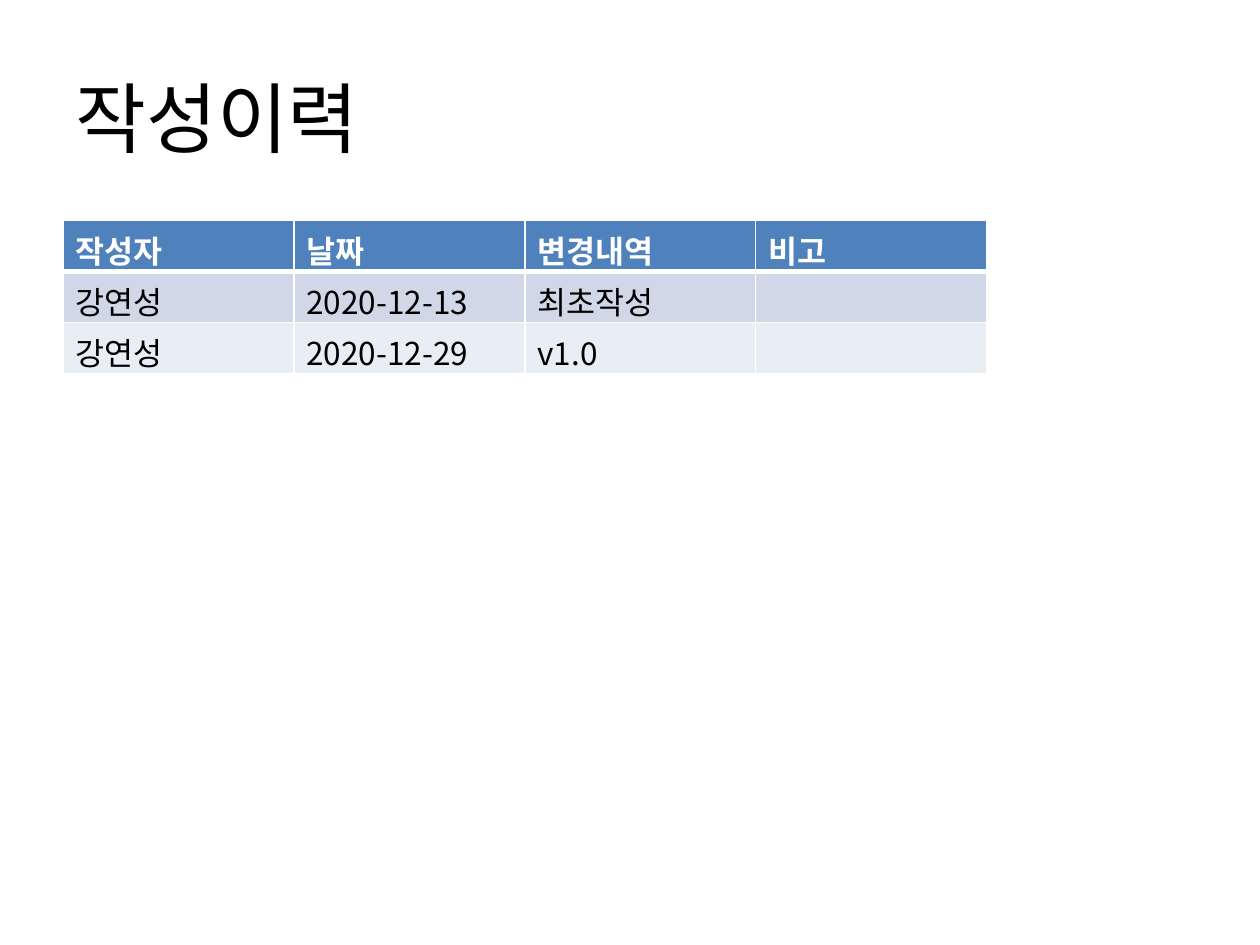
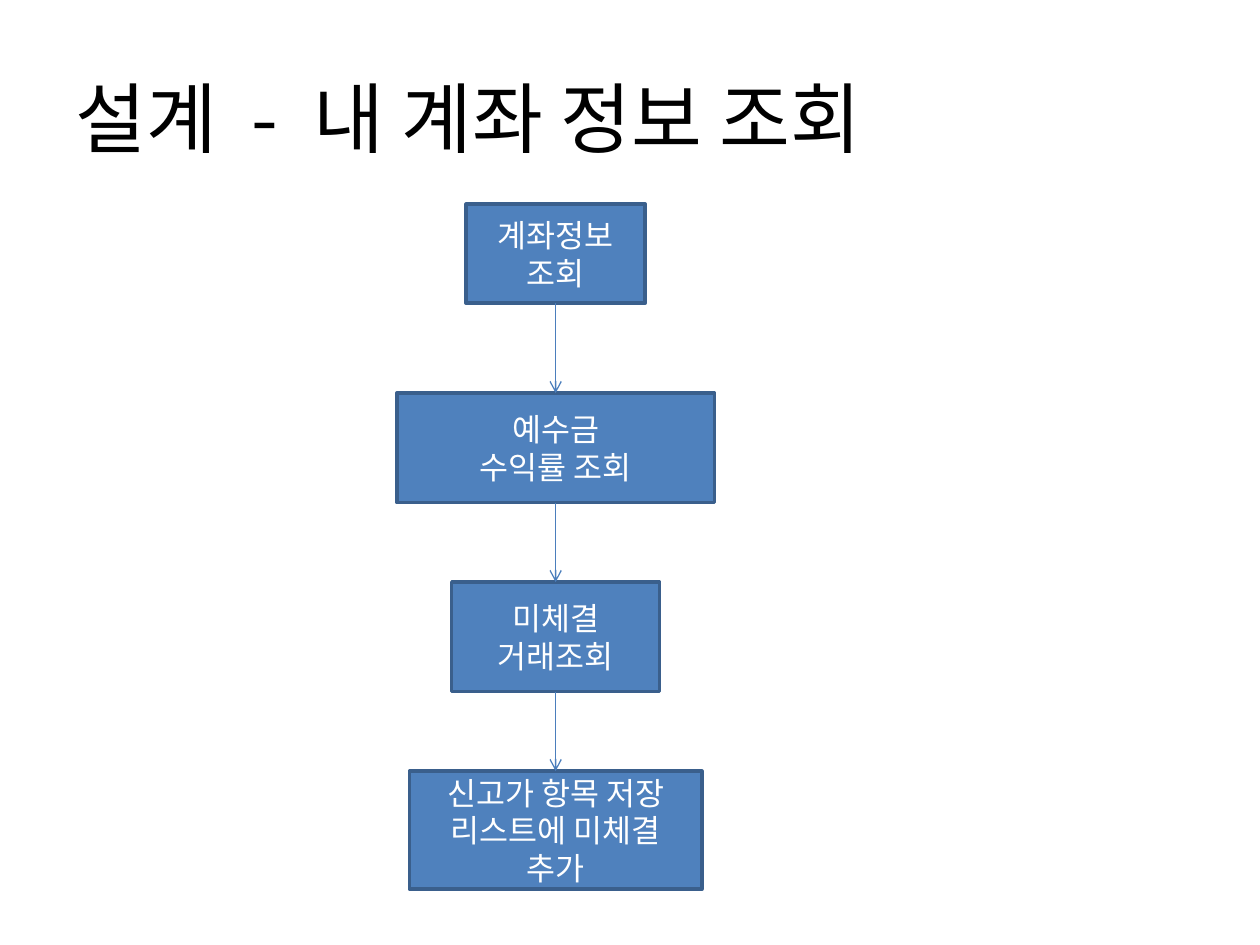
from dataclasses import dataclass

from lxml import etree
from pptx import Presentation
from pptx.dml.color import RGBColor
from pptx.enum.shapes import MSO_CONNECTOR, MSO_SHAPE
from pptx.enum.text import MSO_ANCHOR, PP_ALIGN
from pptx.oxml.ns import qn
from pptx.presentation import Presentation as Deck
from pptx.shapes.autoshape import Shape
from pptx.slide import Slide
from pptx.table import _Cell
from pptx.text.text import _Paragraph
from pptx.util import Emu, Inches, Pt

RECTANGLE = MSO_SHAPE.RECTANGLE
PROCESS = MSO_SHAPE.FLOWCHART_PROCESS
STRAIGHT = MSO_CONNECTOR.STRAIGHT
LEFT, CENTER = PP_ALIGN.LEFT, PP_ALIGN.CENTER
MIDDLE = MSO_ANCHOR.MIDDLE
BOTTOM_SITE, TOP_SITE = 2, 0

SLIDE_WIDTH, SLIDE_HEIGHT = Inches(10), Inches(7.5)
MARGIN = 0.05
FLOW_AXIS, FLOW_TOP, FLOW_PITCH = 0.441, 0.216, 0.2


@dataclass(frozen=True)
class Theme:
    font: str = "Noto Sans CJK KR"
    title_size: int = 44
    body_size: int = 18
    text: str = "000000"
    light: str = "FFFFFF"
    accent: str = "4F81BD"
    outline: str = "3A5F8C"
    arrow: str = "4B7EBC"
    bands: tuple[str, str] = ("D0D8E8", "E9EDF4")
    thin_border: int = 1
    thick_border: int = 3
    outline_width: float = 2
    arrow_width: float = 0.75


@dataclass(frozen=True)
class TextRun:
    text: str
    spacing: int = 0


@dataclass(frozen=True)
class Step:
    lines: tuple[str, ...]
    width: float
    height: float
    preset: MSO_SHAPE = RECTANGLE


THEME = Theme()

HISTORY = (
    ("작성자", "날짜", "변경내역", "비고"),
    ("강연성", "2020-12-13", "최초작성", ""),
    ("강연성", "2020-12-29", "v1.0", ""),
)

ACCOUNT_STEPS = (
    Step(("계좌정보 조회",), 0.142, 0.105),
    Step(("예수금", "수익률 조회"), 0.252, 0.116),
    Step(("미체결 거래조회",), 0.165, 0.116),
    Step(("신고가 항목 저장 리스트에 미체결 추가",), 0.232, 0.125, PROCESS),
)


def across(share: float) -> Emu:
    return Emu(round(SLIDE_WIDTH * share))


def down(share: float) -> Emu:
    return Emu(round(SLIDE_HEIGHT * share))


def add_run(paragraph: _Paragraph, content: TextRun, size: int, color: str,
            bold: bool = False) -> None:
    run = paragraph.add_run()
    run.text = content.text
    run.font.name = THEME.font
    run.font.size = Pt(size)
    run.font.bold = bold
    run.font.color.rgb = RGBColor.from_string(color)
    properties = run.font._element
    etree.SubElement(properties, qn("a:ea"), typeface=THEME.font)
    if content.spacing:
        properties.set("spc", str(content.spacing * 100))


def add_titled_slide(presentation: Deck, *title: TextRun) -> Slide:
    slide = presentation.slides.add_slide(presentation.slide_layouts[6])
    box = slide.shapes.add_textbox(across(MARGIN), down(0.04),
                                   across(1 - 2 * MARGIN), down(1 / 6))
    frame = box.text_frame
    frame.word_wrap = True
    frame.vertical_anchor = MIDDLE
    paragraph = frame.paragraphs[0]
    paragraph.alignment = LEFT
    for content in title:
        add_run(paragraph, content, THEME.title_size, THEME.text)
    return slide


def set_borders(cell: _Cell, top: int, bottom: int) -> None:
    properties = cell._tc.get_or_add_tcPr()
    widths = {"lnL": THEME.thin_border, "lnR": THEME.thin_border,
              "lnT": top, "lnB": bottom}
    for position, (side, width) in enumerate(widths.items()):
        line = etree.Element(qn(f"a:{side}"), w=str(Pt(width)))
        fill = etree.SubElement(line, qn("a:solidFill"))
        etree.SubElement(fill, qn("a:srgbClr"), val=THEME.light)
        properties.insert(position, line)


def add_history_table(slide: Slide, rows: tuple[tuple[str, ...], ...]) -> None:
    column_width, row_height = across(0.1833), down(0.0541)
    table = slide.shapes.add_table(
        len(rows), len(rows[0]), across(MARGIN), down(0.2333),
        column_width * len(rows[0]), row_height * len(rows)).table
    for row_index, row in enumerate(rows):
        header = row_index == 0
        fill = THEME.accent if header else THEME.bands[(row_index - 1) % 2]
        color = THEME.light if header else THEME.text
        top = THEME.thick_border if row_index == 1 else THEME.thin_border
        bottom = THEME.thick_border if header else THEME.thin_border
        for column_index, text in enumerate(row):
            cell = table.cell(row_index, column_index)
            cell.fill.solid()
            cell.fill.fore_color.rgb = RGBColor.from_string(fill)
            set_borders(cell, top, bottom)
            paragraph = cell.text_frame.paragraphs[0]
            paragraph.font.size = Pt(THEME.body_size)
            if text:
                add_run(paragraph, TextRun(text), THEME.body_size, color, header)


def add_step(slide: Slide, step: Step, index: int) -> Shape:
    shape = slide.shapes.add_shape(
        step.preset, across(FLOW_AXIS - step.width / 2),
        down(FLOW_TOP + index * FLOW_PITCH), across(step.width), down(step.height))
    shape.shadow.inherit = False
    shape.fill.solid()
    shape.fill.fore_color.rgb = RGBColor.from_string(THEME.accent)
    shape.line.color.rgb = RGBColor.from_string(THEME.outline)
    shape.line.width = Pt(THEME.outline_width)
    frame = shape.text_frame
    frame.word_wrap = True
    frame.vertical_anchor = MIDDLE
    for line_index, line in enumerate(step.lines):
        paragraph = frame.add_paragraph() if line_index else frame.paragraphs[0]
        paragraph.alignment = CENTER
        add_run(paragraph, TextRun(line), THEME.body_size, THEME.light)
    return shape


def add_arrow(slide: Slide, source: Shape, target: Shape) -> None:
    connector = slide.shapes.add_connector(STRAIGHT, 0, 0, 0, 0)
    connector.begin_connect(source, BOTTOM_SITE)
    connector.end_connect(target, TOP_SITE)
    connector.line.color.rgb = RGBColor.from_string(THEME.arrow)
    connector.line.width = Pt(THEME.arrow_width)
    etree.SubElement(connector.line._get_or_add_ln(), qn("a:tailEnd"), type="arrow")
    etree.SubElement(connector._element.spPr, qn("a:effectLst"))


def add_flow(slide: Slide, steps: tuple[Step, ...]) -> None:
    shapes = [add_step(slide, step, index) for index, step in enumerate(steps)]
    for source, target in zip(shapes, shapes[1:]):
        add_arrow(slide, source, target)


def main() -> None:
    presentation = Presentation()
    presentation.slide_width, presentation.slide_height = SLIDE_WIDTH, SLIDE_HEIGHT
    add_history_table(add_titled_slide(presentation, TextRun("작성이력")), HISTORY)
    design_slide = add_titled_slide(
        presentation, TextRun("설계"), TextRun(" -", spacing=10),
        TextRun(" 내 계좌 정보 조회"))
    add_flow(design_slide, ACCOUNT_STEPS)
    presentation.save("out.pptx")


main()
